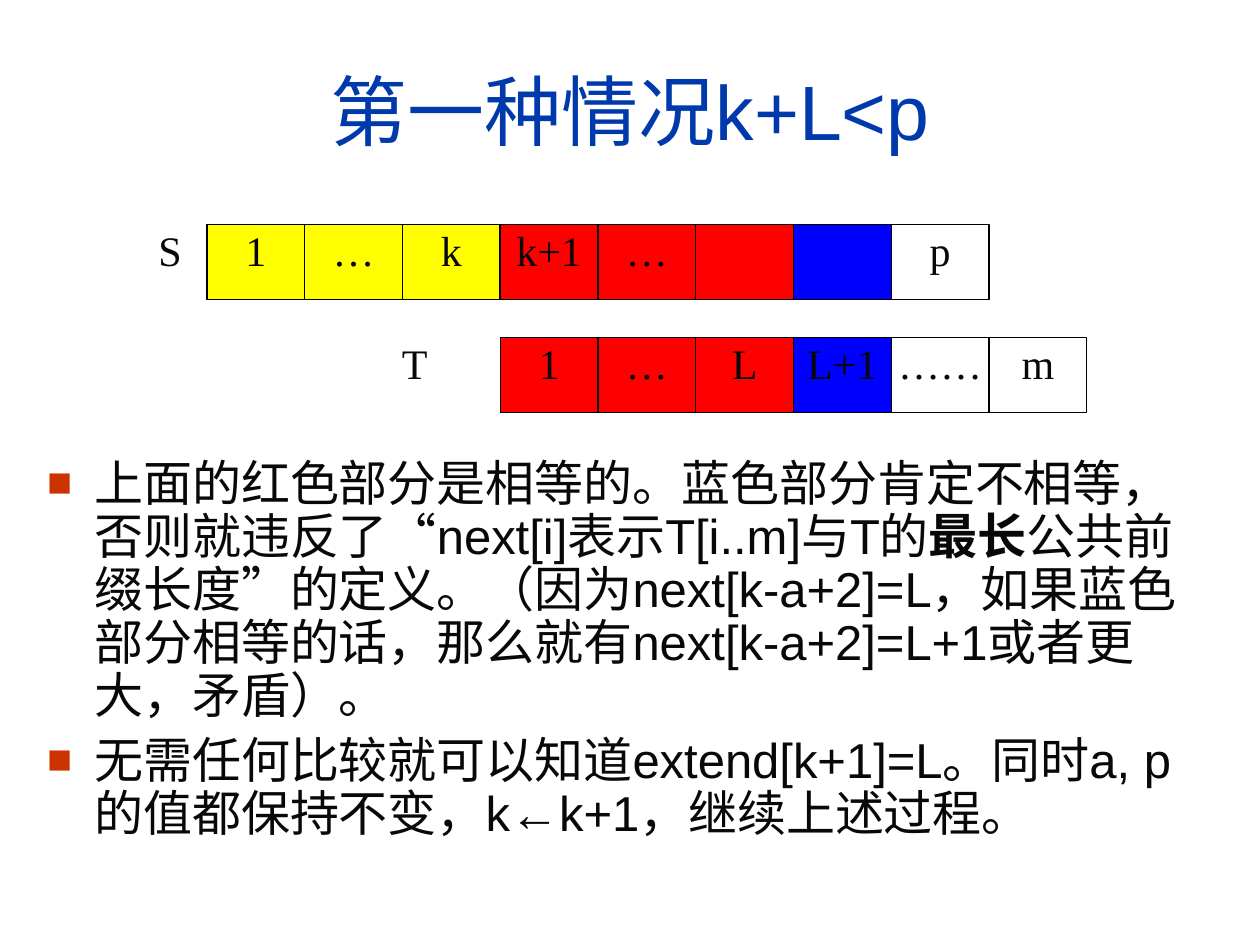
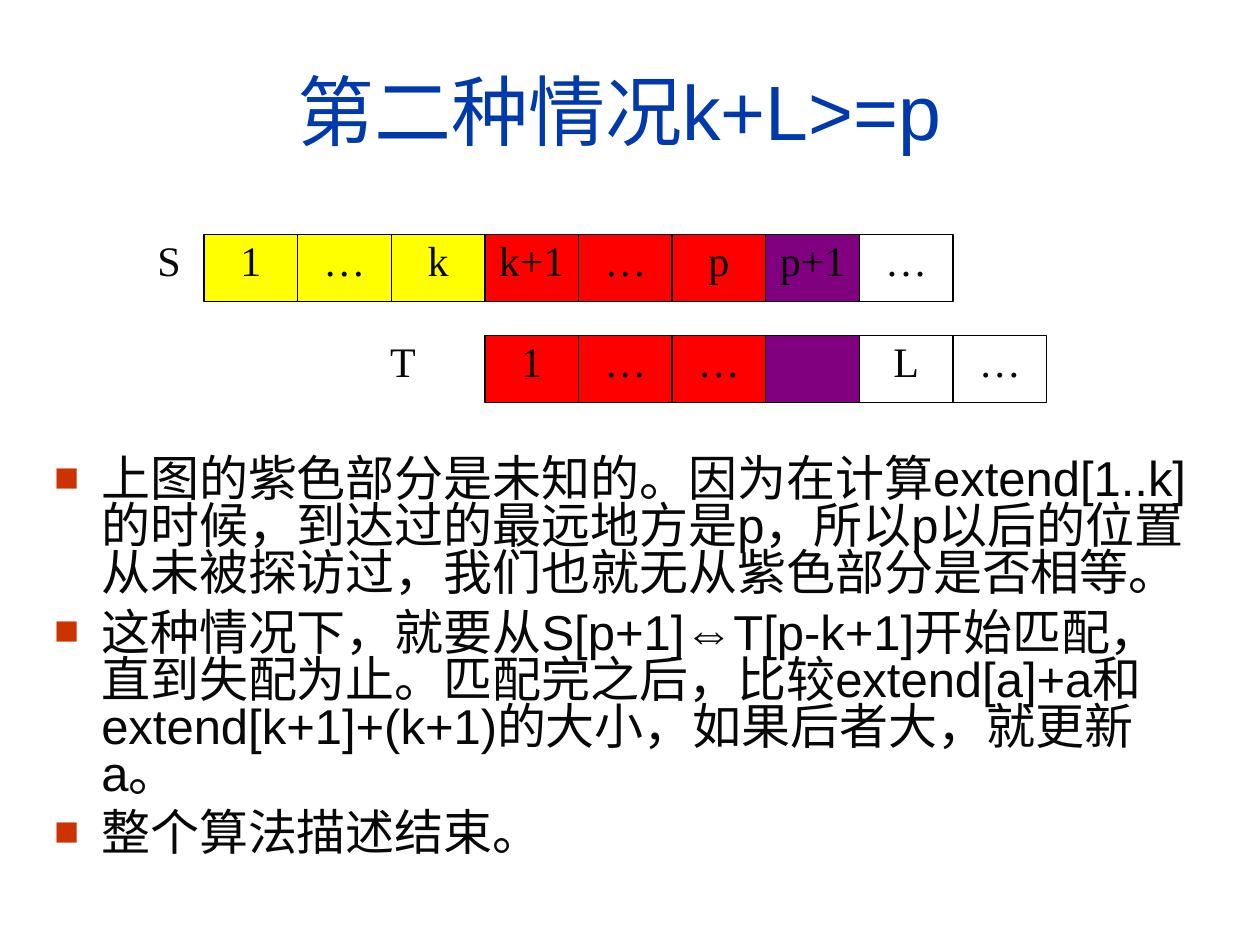
from dataclasses import dataclass

from lxml import etree
from pptx import Presentation
from pptx.dml.color import RGBColor
from pptx.enum import shapes, text
from pptx.oxml import ns
from pptx.util import Pt


@dataclass(frozen=True)
class Theme:
    sans: str = "Arial"
    serif: str = "Times New Roman"
    title: str = "0039AC"
    ink: str = "080808"
    line: str = "000000"
    mark: str = "CC3300"
    head: int = 44
    body: int = 28
    cell: int = 24


FILLS = {"Y": "FFFF00", "R": "FF0000", "B": "0000FF", "P": "800080", "W": "FFFFFF"}


class Deck:
    def __init__(self, theme):
        self.theme = theme
        self.prs = Presentation()
        self.prs.slide_width, self.prs.slide_height = Pt(720), Pt(540)
        self.slide = None

    def page(self, title):
        self.slide = self.prs.slides.add_slide(self.prs.slide_layouts[6])
        frame = self.box(23.8, 17.5, 672.5, 90, (7.2, 3.6))
        frame.vertical_anchor = text.MSO_ANCHOR.MIDDLE
        self.center(frame, title, self.theme.sans, self.theme.head, self.theme.title)

    def box(self, x, y, w, h, pad=(0, 0)):
        shape = self.slide.shapes.add_textbox(Pt(x), Pt(y), Pt(w), Pt(h))
        return self.frame(shape, pad)

    def frame(self, shape, pad=(0, 0)):
        frame = shape.text_frame
        frame.word_wrap = True
        frame.vertical_anchor = text.MSO_ANCHOR.TOP
        frame.margin_left = frame.margin_right = Pt(pad[0])
        frame.margin_top = frame.margin_bottom = Pt(pad[1])
        return frame

    def font(self, para, face, size, color):
        font = para.font
        font.name, font.size = face, Pt(size)
        font.color.rgb = RGBColor.from_string(color)

    def center(self, frame, words, face, size, color):
        para = frame.paragraphs[0]
        para.text = words
        para.alignment = text.PP_ALIGN.CENTER
        self.font(para, face, size, color)

    def label(self, frame, words):
        self.center(frame, words, self.theme.serif, self.theme.cell, self.theme.ink)

    def cell(self, x, y, w, h, words, fill):
        shape = self.slide.shapes.add_shape(
            shapes.MSO_SHAPE.RECTANGLE, Pt(x), Pt(y), Pt(w), Pt(h))
        shape.shadow.inherit = False
        shape.fill.solid()
        shape.fill.fore_color.rgb = RGBColor.from_string(fill)
        shape.line.color.rgb = RGBColor.from_string(self.theme.line)
        shape.line.width = Pt(0.75)
        if words:
            self.label(self.frame(shape), words)

    def match(self, x, y, w, h, rows):
        """Draw strings as rows of cells, each shifted by whole columns."""
        for i, (name, start, gap, words, fills) in enumerate(rows):
            top = y + 1.5 * h * i
            left = x + start * w
            for j, (word, key) in enumerate(zip(words, fills)):
                self.cell(left + j * w, top, w, h, word, FILLS[key])
            self.label(self.box(left - gap * w, top, 0.75 * w, h), name)

    def bullets(self, x, lead, items):
        """Each item is a list of parts; every second part is bold."""
        frame = self.box(x, 258.8, 672.5, 258, (7.2, 3.6))
        for i, parts in enumerate(items):
            para = frame.add_paragraph() if i else frame.paragraphs[0]
            para.line_spacing = lead
            para.space_before = Pt(7 if i else 0)
            self.mark(para)
            self.font(para, self.theme.sans, self.theme.body, self.theme.ink)
            for j, part in enumerate(parts):
                run = para.add_run()
                run.text = part
                if j % 2:
                    run.font.bold = True

    def mark(self, para):
        """Hang a square bullet and keep punctuation inside the margin."""
        props = para._p.get_or_add_pPr()
        props.set("marL", str(Pt(27)))
        props.set("indent", str(Pt(-27)))
        props.set("hangingPunct", "0")
        color = etree.SubElement(props, ns.qn("a:buClr"))
        etree.SubElement(color, ns.qn("a:srgbClr"), val=self.theme.mark)
        etree.SubElement(props, ns.qn("a:buSzPct"), val="85000")
        etree.SubElement(props, ns.qn("a:buFont"), typeface=self.theme.sans)
        etree.SubElement(props, ns.qn("a:buChar"), char="■")


def main():
    deck = Deck(Theme())

    deck.page("第一种情况k+L<p")
    deck.match(118.2, 128.2, 55.87, 43.1, [
        ("S", 0, 0.75, ["1", "…", "k", "k+1", "…", "", "", "p"], "YYYRRRBW"),
        ("T", 3, 1.25, ["1", "…", "L", "L+1", "……", "m"], "RRRBWW"),
    ])
    deck.bullets(19.8, 0.9, [
        ["上面的红色部分是相等的。蓝色部分肯定不相等，否则就违反了“next[i]表示T[i..m]与T的",
         "最长",
         "公共前缀长度”的定义。（因为next[k-a+2]=L，如果蓝色部分相等的话，"
         "那么就有next[k-a+2]=L+1或者更大，矛盾）。"],
        ["无需任何比较就可以知道extend[k+1]=L。同时a, p的值都保持不变，k←k+1，继续上述过程。"],
    ])

    deck.page("第二种情况k+L>=p ")
    deck.match(116.6, 134, 53.5, 38.4, [
        ("S", 0, 0.75, ["1", "…", "k", "k+1", "…", "p", "p+1", "…"], "YYYRRRPW"),
        ("T", 3, 1.25, ["1", "…", "…", "", "L", "…"], "RRRPWW"),
    ])
    deck.bullets(23.8, 0.8, [
        ["上图的紫色部分是未知的。因为在计算extend[1..k]的时候，到达过的最远地方是p，"
         "所以p以后的位置从未被探访过，我们也就无从紫色部分是否相等。"],
        ["这种情况下，就要从S[p+1]⇔T[p-k+1]开始匹配，直到失配为止。匹配完之后，"
         "比较extend[a]+a和extend[k+1]+(k+1)的大小，如果后者大，就更新a。"],
        ["整个算法描述结束。"],
    ])

    deck.prs.save("out.pptx")


if __name__ == "__main__":
    main()
